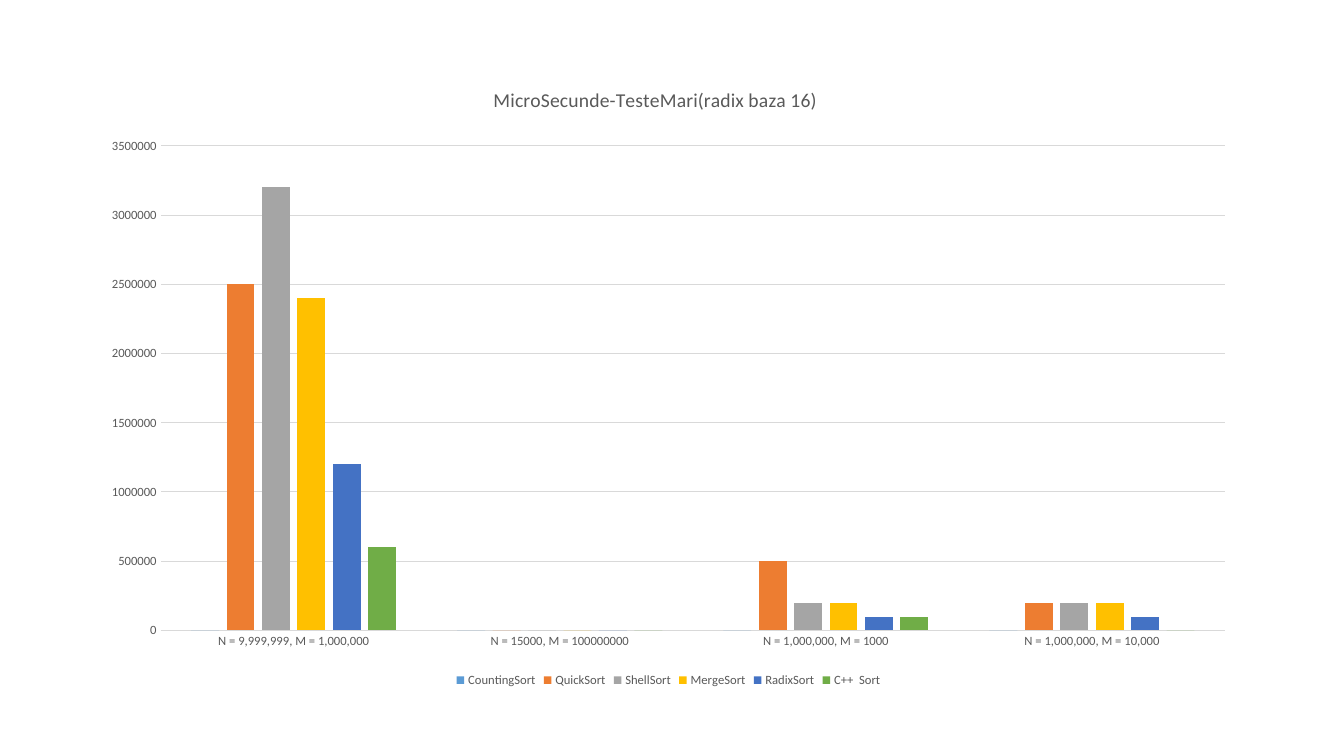
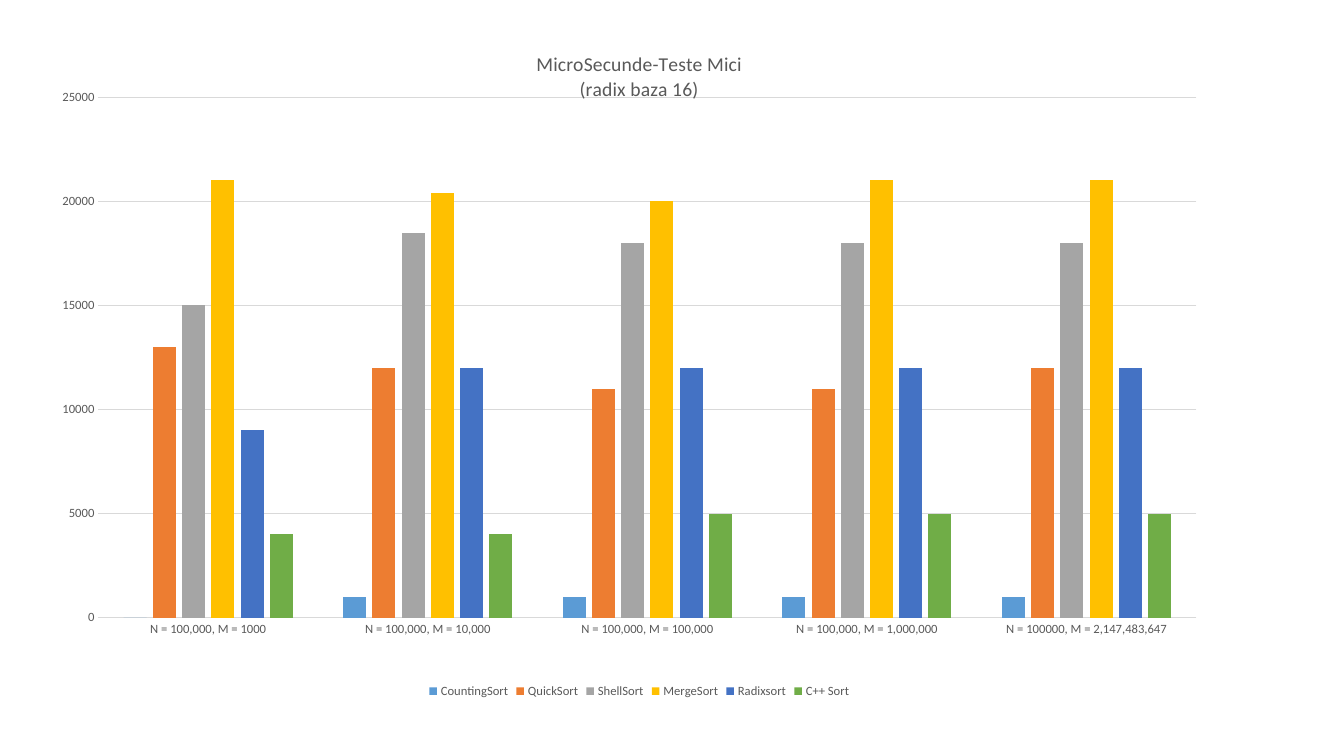
from lxml import etree
from pptx import Presentation
from pptx.chart.data import CategoryChartData
from pptx.dml.color import RGBColor
from pptx.enum.chart import XL_CHART_TYPE, XL_LEGEND_POSITION, XL_TICK_MARK
from pptx.oxml.ns import qn
from pptx.util import Inches, Pt

CLUSTERED = XL_CHART_TYPE.COLUMN_CLUSTERED
LEGEND_BOTTOM = XL_LEGEND_POSITION.BOTTOM
NO_TICK = XL_TICK_MARK.NONE
FONT = "Calibri"
BLANK_LAYOUT = 6
COLORS = {"text": "595959", "base": "000000", "grid": "D9D9D9"}
SERIES_COLORS = {
    "countingsort": "5B9BD5",
    "quicksort": "ED7D31",
    "shellsort": "A5A5A5",
    "mergesort": "FFC000",
    "radixsort": "4472C4",
    "c++sort": "70AD47",
}

LARGE_TESTS = {
    "title": "MicroSecunde-TesteMari(radix baza 16)",
    "box": (0.88, 0.72, 11.5, 6.14),
    "title_layout": {"x": 0.346, "y": 0.017},
    "categories": [
        "N = 9,999,999, M = 1,000,000",
        "N = 15000, M = 100000000",
        "N = 1,000,000, M = 1000",
        "N = 1,000,000, M = 10,000",
    ],
    "series": {
        "CountingSort": (0, 0, 0, 0),
        "QuickSort": (2500000, 0, 500000, 200000),
        "ShellSort": (3200000, 0, 200000, 200000),
        "MergeSort": (2400000, 0, 200000, 200000),
        "RadixSort": (1200000, 0, 100000, 100000),
        "C++  Sort": (600000, 0, 100000, 0),
    },
}

SMALL_TESTS = {
    "title": "MicroSecunde-Teste Mici\n(radix baza 16)",
    "box": (0.56, 0.29, 11.56, 6.68),
    "plot_layout": {"x": 0.036, "y": 0.101, "w": 0.942, "h": 0.773},
    "categories": [
        "N = 100,000, M = 1000",
        "N = 100,000, M = 10,000",
        "N = 100,000, M = 100,000",
        "N = 100,000, M = 1,000,000",
        "N = 100000, M = 2,147,483,647",
    ],
    "series": {
        "CountingSort": (0, 1000, 1000, 1000, 1000),
        "QuickSort": (13000, 12000, 11000, 11000, 12000),
        "ShellSort": (15000, 18500, 18000, 18000, 18000),
        "MergeSort": (21000, 20400, 20000, 21000, 21000),
        "Radixsort": (9000, 12000, 12000, 12000, 12000),
        "C++ Sort": (4000, 4000, 5000, 5000, 5000),
    },
}


def rgb(name):
    """Return the named colour of the shared palette."""
    return RGBColor.from_string(COLORS[name])


def style_font(font, size=9, color="text", bold=False):
    """Apply the shared typeface with a size, colour and weight."""
    font.name = FONT
    font.size = Pt(size)
    font.bold = bold
    font.color.rgb = rgb(color)


def write_text(frame, text, **style):
    """Write text, one paragraph a line, in the given format."""
    frame.text = text
    for paragraph in frame.paragraphs:
        style_font(paragraph.font, **style)
        for run in paragraph.runs:
            style_font(run.font, **style)


def set_layout(parent, fractions):
    """Fix a chart part at fractions of the chart area."""
    layout = parent.find(qn("c:layout"))
    if layout is None:
        layout = etree.Element(qn("c:layout"))
        parent.insert(0, layout)
    for child in list(layout):
        layout.remove(child)
    manual = etree.SubElement(layout, qn("c:manualLayout"))
    settings = {"xMode": "edge", "yMode": "edge", **fractions}
    if "w" in fractions:
        settings = {"layoutTarget": "inner", **settings}
    for tag, value in settings.items():
        etree.SubElement(manual, qn(f"c:{tag}")).set("val", str(value))


def style_line(line):
    """Draw a thin light grey line."""
    line.color.rgb = rgb("grid")
    line.width = Pt(0.75)


def style_axes(chart):
    """Format both axes and the horizontal gridlines."""
    for axis in (chart.category_axis, chart.value_axis):
        axis.major_tick_mark = NO_TICK
        axis.minor_tick_mark = NO_TICK
        style_font(axis.tick_labels.font)
    style_line(chart.category_axis.format.line)
    chart.value_axis.format.line.fill.background()
    chart.value_axis.has_major_gridlines = True
    style_line(chart.value_axis.major_gridlines.format.line)


def style_columns(plot):
    """Space the columns and colour each sorting algorithm."""
    plot.gap_width = 219
    plot.overlap = -27
    plot.vary_by_categories = False
    for series in plot.series:
        algorithm = series.name.replace(" ", "").lower()
        series.format.fill.solid()
        series.format.fill.fore_color.rgb = RGBColor.from_string(SERIES_COLORS[algorithm])
        series.invert_if_negative = False


def add_timing_chart(slide, box, timings):
    """Place a chart of sorting times in the given box."""
    data = CategoryChartData()
    data.categories = timings["categories"]
    for algorithm, microseconds in timings["series"].items():
        data.add_series(algorithm, microseconds)
    chart = slide.shapes.add_chart(CLUSTERED, *map(Inches, box), data).chart
    style_font(chart.font, size=10, color="base")
    chart.has_title = True
    write_text(chart.chart_title.text_frame, timings["title"], size=14)
    chart.has_legend = True
    chart.legend.position = LEGEND_BOTTOM
    chart.legend.include_in_layout = False
    style_font(chart.legend.font)
    style_axes(chart)
    style_columns(chart.plots[0])
    if "title_layout" in timings:
        title = chart.element.find(".//" + qn("c:title"))
        set_layout(title, timings["title_layout"])
    if "plot_layout" in timings:
        plot_area = chart.element.find(".//" + qn("c:plotArea"))
        set_layout(plot_area, timings["plot_layout"])


def build():
    """Build one slide for each group of tests."""
    deck = Presentation()
    deck.slide_width = Inches(13.33)
    deck.slide_height = Inches(7.5)
    for timings in (LARGE_TESTS, SMALL_TESTS):
        slide = deck.slides.add_slide(deck.slide_layouts[BLANK_LAYOUT])
        add_timing_chart(slide, timings["box"], timings)
    deck.save("out.pptx")


build()
